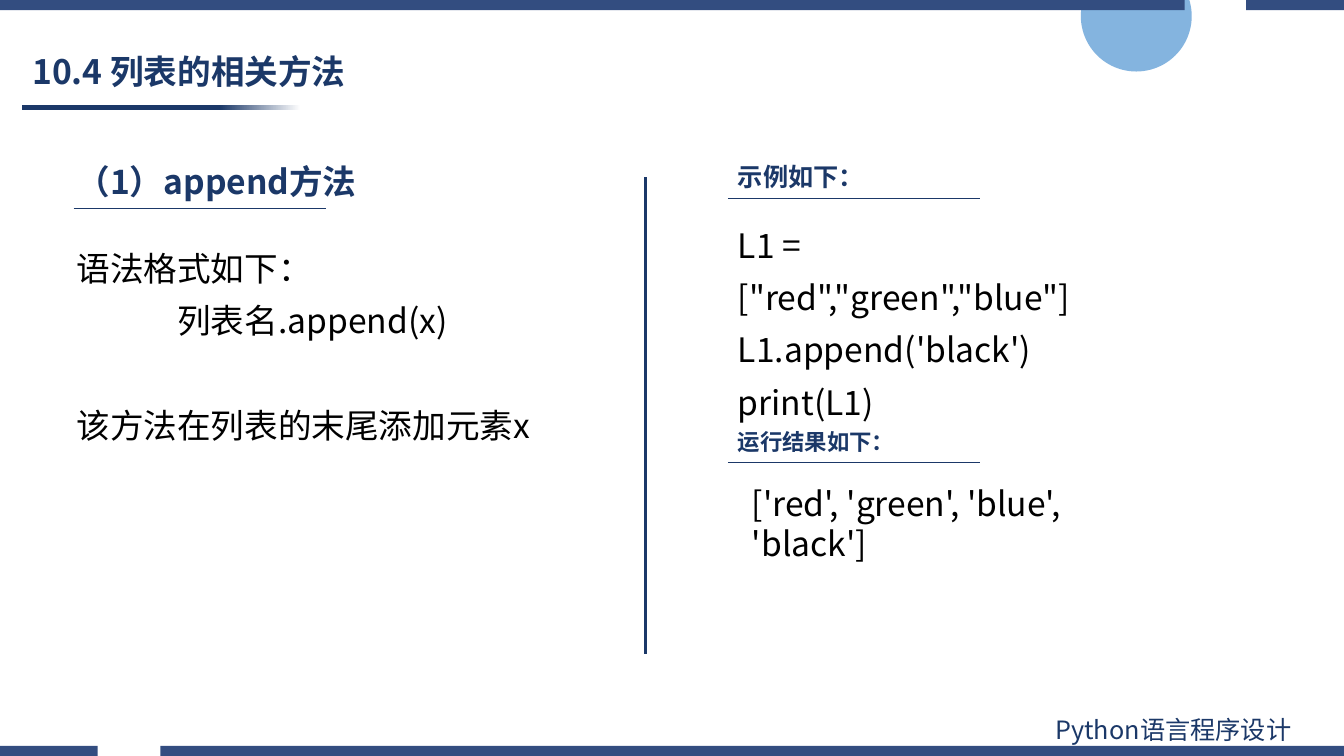
import dataclasses

import lxml.etree
import pptx
import pptx.dml.color
import pptx.enum.shapes
import pptx.enum.text
import pptx.oxml.ns
import pptx.util

COLORS = {"navy": "1B3868", "bar": "334D80", "circle": "5B9BD5", "black": "000000", "white": "FFFFFF"}
FONT = "Noto Sans CJK SC"
SLIDE_WIDTH = pptx.util.Inches(13.33)
SLIDE_HEIGHT = pptx.util.Inches(7.5)
COLUMNS, ROWS = 133.3, 75


@dataclasses.dataclass
class Box:
    left: float
    top: float
    width: float
    height: float

    def inner(self, left, top, width, height):
        return Box(self.left + left, self.top + top, width, height)

    def lengths(self):
        return columns(self.left), rows(self.top), columns(self.width), rows(self.height)


def columns(count):
    return round(SLIDE_WIDTH * count / COLUMNS)


def rows(count):
    return round(SLIDE_HEIGHT * count / ROWS)


def rgb(name):
    return pptx.dml.color.RGBColor.from_string(COLORS[name])


def add_child(parent, tag, **attributes):
    return lxml.etree.SubElement(parent, pptx.oxml.ns.qn(tag), **attributes)


def add_run(paragraph, text, size, color, bold=False):
    run = paragraph.add_run()
    run.text = text
    run.font.size = pptx.util.Pt(size)
    run.font.bold = bold
    run.font.color.rgb = rgb(color)
    run.font.name = FONT
    add_child(run.font._element, "a:ea", typeface=FONT)


def add_text(slide, box, lines, size, color, bold=False, spacing=1.0):
    frame = slide.shapes.add_textbox(*box.lengths()).text_frame
    frame.word_wrap = True
    for index, line in enumerate(lines):
        paragraph = frame.add_paragraph() if index else frame.paragraphs[0]
        paragraph.line_spacing = spacing
        add_run(paragraph, line, size, color, bold)
    return frame


def add_rule(slide, start, end, weight):
    rule = slide.shapes.add_connector(
        pptx.enum.shapes.MSO_CONNECTOR.STRAIGHT,
        columns(start[0]), rows(start[1]), columns(end[0]), rows(end[1]))
    rule.line.color.rgb = rgb("navy")
    rule.line.width = pptx.util.Pt(weight)
    add_child(rule._element.spPr, "a:effectLst")


def add_plain_shape(slide, kind, box):
    shape = slide.shapes.add_shape(kind, *box.lengths())
    shape.shadow.inherit = False
    shape.line.fill.background()
    return shape


def add_split_bar(slide, box, gap_start, gap_end):
    builder = None
    bottom = box.top + box.height
    for left, right in ((box.left, gap_start), (gap_end, box.left + box.width)):
        start = columns(left), rows(box.top)
        if builder is None:
            builder = slide.shapes.build_freeform(*start)
        else:
            builder.move_to(*start)
        builder.add_line_segments([
            (columns(right), rows(box.top)),
            (columns(right), rows(bottom)),
            (columns(left), rows(bottom)),
        ], close=True)
    bar = builder.convert_to_shape()
    bar.shadow.inherit = False
    bar.fill.solid()
    bar.fill.fore_color.rgb = rgb("bar")
    bar.line.fill.background()


def add_frame(slide, box):
    shapes = pptx.enum.shapes.MSO_SHAPE
    circle = add_plain_shape(slide, shapes.OVAL, box.inner(107.2, -3.9, 11, 11))
    circle.fill.solid()
    circle.fill.fore_color.rgb = rgb("circle")
    color = circle.fill._xPr.find(".//" + pptx.oxml.ns.qn("a:srgbClr"))
    add_child(color, "a:alpha", val="75000")
    add_split_bar(slide, box.inner(0, 74, box.width, 1), 9.7, 15.9)
    add_split_bar(slide, box.inner(0, 0, box.width, 1), 117.5, 123.6)
    add_text(slide, box.inner(103.7, 70.4, 29.4, 4), ["Python语言程序设计"], 18, "navy")


def add_title(slide, box, text):
    title = slide.shapes.title
    title.left, title.top, title.width, title.height = box.lengths()
    frame = title.text_frame
    frame.auto_size = pptx.enum.text.MSO_AUTO_SIZE.NONE
    frame.vertical_anchor = pptx.enum.text.MSO_ANCHOR.MIDDLE
    paragraph = frame.paragraphs[0]
    paragraph.alignment = pptx.enum.text.PP_ALIGN.LEFT
    paragraph.line_spacing = 0.9
    add_run(paragraph, text, 24, "navy", bold=True)

    underline = add_plain_shape(
        slide, pptx.enum.shapes.MSO_SHAPE.RECTANGLE, box.inner(0, 5.9, 27.6, 0.5))
    underline.fill.gradient()
    underline.fill.gradient_angle = 0
    for stop, position, color in zip(underline.fill.gradient_stops, (0.71, 1), ("navy", "white")):
        stop.position = position
        stop.color.rgb = rgb(color)


def add_heading(slide, box, text, size, rule_indent=0):
    add_text(slide, box, [text], size, "navy", bold=True)
    left, top = box.left + rule_indent, box.top + box.height + 0.2
    add_rule(slide, (left, top), (left + 25, top), 0.5)


def add_syntax_panel(slide, box):
    add_heading(slide, box.inner(0, 0, 34, 5), "（1）append方法", 24, rule_indent=0.7)
    lines = ["语法格式如下：", "列表名.append(x)", "该方法在列表的末尾添加元素x"]
    frame = add_text(slide, box.inner(0, 7.4, box.width, 22), lines, 24, "black", spacing=1.3)
    syntax, explanation = frame.paragraphs[1:]
    syntax._p.get_or_add_pPr().set("marL", str(columns(10)))
    explanation.space_before = pptx.util.Pt(37.5)


def add_example_panel(slide, box):
    add_heading(slide, box.inner(0, 0, 34, 4), "示例如下：", 18)
    code = ['L1 = ["red","green","blue"]', "L1.append('black')", "print(L1)"]
    add_text(slide, box.inner(0, 5.1, 39.5, 22), code, 24, "black", spacing=1.3)
    add_heading(slide, box.inner(0, 26.5, 34, 3.7), "运行结果如下：", 16)
    output = ["['red', 'green', 'blue', 'black']"]
    add_text(slide, box.inner(1.4, 31.9, 42, 5), output, 24, "black")


def main():
    presentation = pptx.Presentation()
    presentation.slide_width = SLIDE_WIDTH
    presentation.slide_height = SLIDE_HEIGHT
    slide = presentation.slides.add_slide(presentation.slide_layouts[5])
    add_frame(slide, Box(0, 0, COLUMNS, ROWS))
    add_title(slide, Box(2.2, 4.5, 60.4, 5.6), "10.4 列表的相关方法")
    add_syntax_panel(slide, Box(6.6, 15.5, 57.1, 30))
    add_rule(slide, (64, 17.6), (64, 64.9), 2)
    add_example_panel(slide, Box(72.2, 15.5, 43.4, 40))
    presentation.save("out.pptx")


if __name__ == "__main__":
    main()
